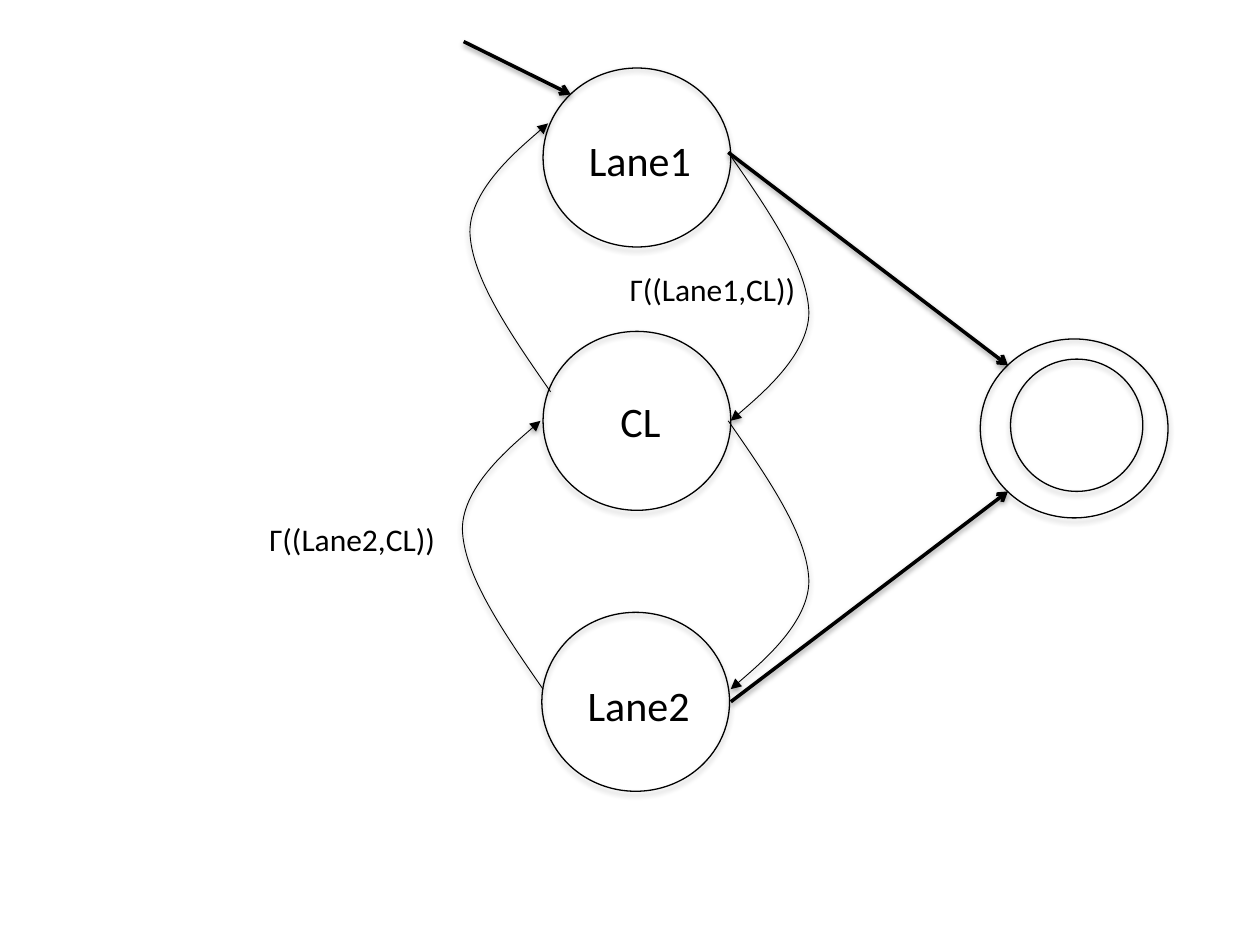
from lxml.etree import SubElement
from pptx import Presentation
from pptx.dml.color import RGBColor
from pptx.enum.shapes import MSO_CONNECTOR, MSO_SHAPE
from pptx.oxml.ns import qn
from pptx.util import Inches, Pt

BLACK = RGBColor(0, 0, 0)
FONT = "Calibri"
STATE_SIZE = (1.49, 1.42)
BEND = [(0, 0), (0.32, 0.46), (0.63, 0.91), (0.64, 1.27),
        (0.64, 1.62), (0.02, 2.13)]


def add_shadow(shape, opacity, distance):
    """Give a shape a soft shadow that falls straight down."""
    properties = shape._element.spPr
    for old in properties.findall(qn("a:effectLst")):
        properties.remove(old)
    effects = SubElement(properties, qn("a:effectLst"))
    shadow = SubElement(effects, qn("a:outerShdw"), blurRad="40000",
                        dist=str(distance), dir="5400000", rotWithShape="0")
    color = SubElement(shadow, qn("a:srgbClr"), val=str(BLACK))
    SubElement(color, qn("a:alpha"), val=str(opacity * 1000))


def style_line(shape, width, head=None):
    """Draw a black line, with an arrowhead at its end if one is named."""
    shape.line.color.rgb = BLACK
    shape.line.width = Pt(width)
    if head:
        SubElement(shape.line._get_or_add_ln(), qn("a:tailEnd"), type=head)


def add_text(page, text, left, top, width, height, size=18, wrap=True):
    """Place one line of text in a box."""
    box = page.shapes.add_textbox(*map(Inches, (left, top, width, height)))
    box.text_frame.word_wrap = wrap
    span = box.text_frame.paragraphs[0].add_run()
    span.text = text
    span.font.name = FONT
    span.font.size = Pt(size)
    span.font.color.rgb = BLACK


def add_circle(page, left, top, width, height):
    """Draw an open circle."""
    circle = page.shapes.add_shape(
        MSO_SHAPE.OVAL, *map(Inches, (left, top, width, height)))
    circle.fill.background()
    style_line(circle, 0.75)
    add_shadow(circle, 35, 23000)


def add_state(page, name, left, top, name_width, name_drop):
    """Draw a circle with its name in the middle."""
    add_circle(page, left, top, *STATE_SIZE)
    name_left = left + (STATE_SIZE[0] - name_width) / 2 + 0.03
    add_text(page, name, name_left, top + name_drop, name_width, 0.5,
             size=24, wrap=False)


def add_final_state(page, left, top):
    """Draw the double circle of the final state."""
    add_circle(page, left, top, *STATE_SIZE)
    add_circle(page, left + 0.24, top + 0.16, 1.05, 1.05)


def add_bend(page, left, top, direction):
    """Draw a curved arrow down the right (1) or up the left (-1)."""
    points = [(Inches(left + direction * across), Inches(top + direction * down))
              for across, down in BEND]
    # The end control point meets the end itself.
    points.append(points[-1])
    builder = page.shapes.build_freeform(*points[0])
    builder.add_line_segments(points[1:], close=False)
    bend = builder.convert_to_shape()
    outline = next(bend._element.iter(qn("a:path")))
    segments = outline.findall(qn("a:lnTo"))
    for first in (0, 3):
        curve = SubElement(outline, qn("a:cubicBezTo"))
        for segment in segments[first:first + 3]:
            curve.append(segment[0])
            outline.remove(segment)
    bend.fill.background()
    style_line(bend, 0.5, head="triangle")
    add_shadow(bend, 38, 20000)


def add_arrow(page, *ends):
    """Draw a heavy straight arrow between two points."""
    arrow = page.shapes.add_connector(MSO_CONNECTOR.STRAIGHT, *map(Inches, ends))
    style_line(arrow, 2, head="arrow")
    add_shadow(arrow, 38, 20000)


def build_lane_diagram(page):
    """Place the states, the moves between them and the move labels."""
    add_state(page, "Lane1", 4.31, 0.54, 1.02, 0.48)
    add_state(page, "CL", 4.31, 2.63, 0.52, 0.46)
    add_state(page, "Lane2", 4.3, 4.86, 1.02, 0.48)
    for left, top, direction in [(5.78, 1.21, 1), (5.78, 3.34, 1),
                                 (4.31, 5.47, -1), (4.37, 3.11, -1)]:
        add_bend(page, left, top, direction)
    add_final_state(page, 7.78, 2.69)
    for ends in [(3.68, 0.33, 4.53, 0.75), (5.78, 1.21, 8, 2.9),
                 (5.8, 5.57, 8, 3.9)]:
        add_arrow(page, *ends)
    for lane, left, top in [("Lane1", 4.9, 2.09), ("Lane2", 2.04, 4.08)]:
        add_text(page, f"Γ(({lane},CL))", left, top, 1.64, 0.4)


deck = Presentation()
deck.slide_width, deck.slide_height = Inches(10), Inches(7.5)
build_lane_diagram(deck.slides.add_slide(deck.slide_layouts[6]))
deck.save("out.pptx")
